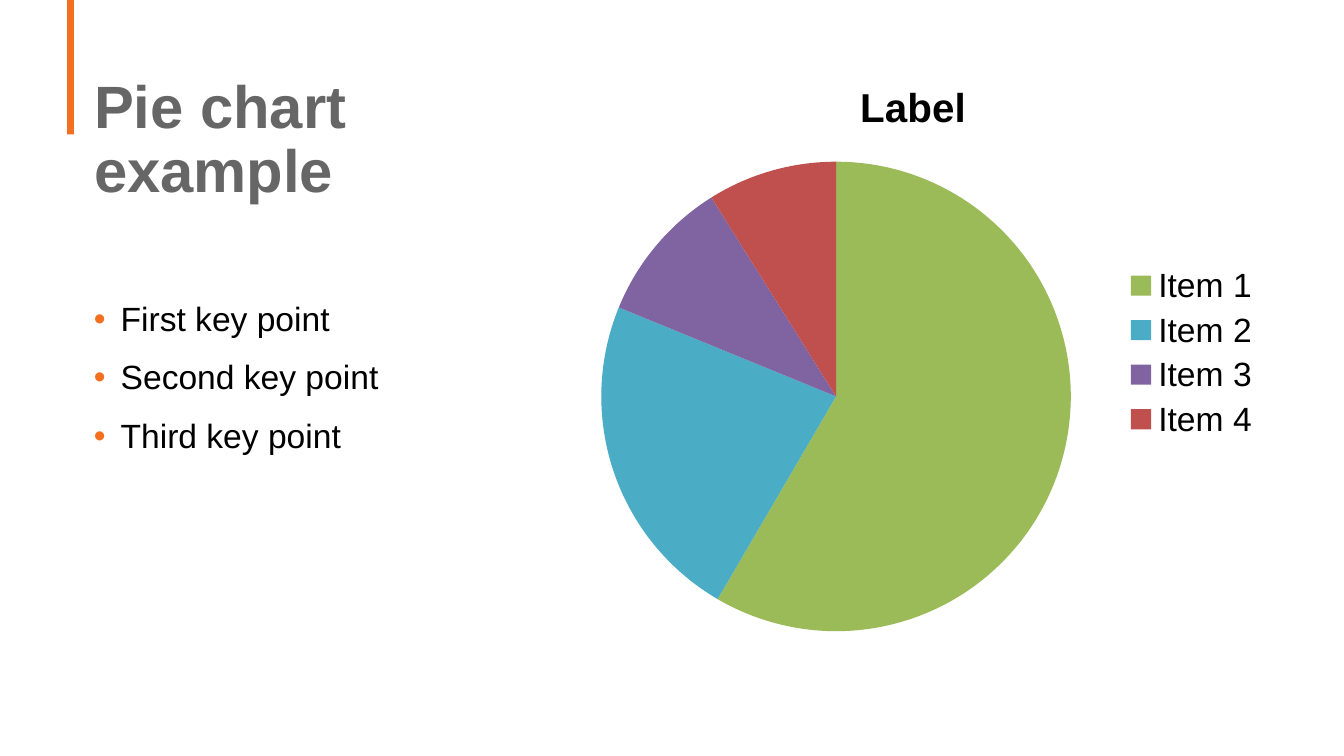
from dataclasses import dataclass

from pptx import Presentation
from pptx.chart.data import CategoryChartData
from pptx.dml.color import RGBColor
from pptx.enum.chart import XL_CHART_TYPE, XL_LEGEND_POSITION
from pptx.enum.shapes import MSO_SHAPE
from pptx.enum.text import MSO_ANCHOR, PP_ALIGN
from pptx.oxml import parse_xml
from pptx.oxml.ns import nsdecls
from pptx.util import Pt

PIE = XL_CHART_TYPE.PIE
LEGEND_RIGHT = XL_LEGEND_POSITION.RIGHT
RECTANGLE = MSO_SHAPE.RECTANGLE
TOP = MSO_ANCHOR.TOP
LEFT = PP_ALIGN.LEFT

EMU_PER_PX = 4572  # 200 px to the inch
TITLE_ONLY = 5
FONT = "Arial"
ORANGE, GREY, BLACK = "F37021", "666666", "000000"
KEY_POINTS = ["First key point", "Second key point", "Third key point"]


@dataclass
class Box:
    left: int
    top: int
    width: int
    height: int

    def emu(self) -> list[int]:
        return [px(n) for n in (self.left, self.top, self.width, self.height)]


@dataclass
class Slice:
    label: str
    value: int
    color: str


SLICES = [
    Slice("Item 1", 59, "9BBB59"),
    Slice("Item 2", 23, "4BACC6"),
    Slice("Item 3", 10, "8064A2"),
    Slice("Item 4", 9, "C0504D"),
]


def px(length: int) -> int:
    return length * EMU_PER_PX


def rgb(color: str) -> RGBColor:
    return RGBColor.from_string(color)


def set_font(font, size: float, color: str, bold: bool = False) -> None:
    font.name, font.size, font.bold = FONT, Pt(size), bold
    font.color.rgb = rgb(color)


def set_frame(frame, top_inset: int) -> None:
    frame.word_wrap = True
    frame.vertical_anchor = TOP
    frame.margin_left = frame.margin_right = px(20)
    frame.margin_top, frame.margin_bottom = px(top_inset), px(10)


def add_bullet(paragraph) -> None:
    properties = paragraph._p.get_or_add_pPr()
    properties.set("marL", str(px(40)))
    properties.set("indent", str(px(-40)))
    namespace = nsdecls("a")
    for xml in (
        f'<a:buClr {namespace}><a:srgbClr val="{ORANGE}"/></a:buClr>',
        f'<a:buFont {namespace} typeface="{FONT}"/>',
        f'<a:buChar {namespace} char="•"/>',
    ):
        properties.append(parse_xml(xml))


def add_accent(slide, box: Box) -> None:
    accent = slide.shapes.add_shape(RECTANGLE, *box.emu())
    accent.shadow.inherit = False
    accent.fill.solid()
    accent.fill.fore_color.rgb = rgb(ORANGE)
    accent.line.fill.background()


def set_title(slide, text: str, box: Box) -> None:
    title = slide.shapes.title
    title.left, title.top, title.width, title.height = box.emu()
    set_frame(title.text_frame, 14)
    title.text_frame.text = text
    paragraph = title.text_frame.paragraphs[0]
    paragraph.alignment = LEFT
    paragraph.line_spacing = 0.9
    set_font(paragraph.font, 32, GREY, bold=True)


def add_key_points(slide, points: list[str], box: Box) -> None:
    frame = slide.shapes.add_textbox(*box.emu()).text_frame
    set_frame(frame, 10)
    frame.text = "\n".join(points)
    for paragraph in frame.paragraphs:
        paragraph.line_spacing = 0.9
        paragraph.space_before = Pt(12)
        add_bullet(paragraph)
        set_font(paragraph.font, 18, BLACK)


def add_pie(slide, name: str, slices: list[Slice], box: Box) -> None:
    data = CategoryChartData()
    data.categories = [item.label for item in slices]
    data.add_series(name, [item.value for item in slices])
    chart = slide.shapes.add_chart(PIE, *box.emu(), data).chart
    set_font(chart.font, 18, BLACK)

    # Title and legend
    chart.has_title = True
    chart.chart_title.text_frame.text = name
    set_font(chart.chart_title.text_frame.paragraphs[0].font, 21.6, BLACK, bold=True)
    chart.chart_title.include_in_layout = False
    chart.has_legend = True
    chart.legend.position = LEGEND_RIGHT
    chart.legend.include_in_layout = False

    # Slice colours
    plot = chart.plots[0]
    plot.vary_by_categories = True
    for index, item in enumerate(slices):
        fill = plot.series[0].points[index].format.fill
        fill.solid()
        fill.fore_color.rgb = rgb(item.color)


def main() -> None:
    presentation = Presentation()
    presentation.slide_width, presentation.slide_height = px(2000), px(1125)
    slide = presentation.slides.add_slide(presentation.slide_layouts[TITLE_ONLY])

    add_accent(slide, Box(100, 0, 10, 200))
    set_title(slide, "Pie chart example", Box(120, 100, 660, 320))
    add_pie(slide, "Label", SLICES, Box(822, 82, 1074, 885))
    add_key_points(slide, KEY_POINTS, Box(120, 440, 660, 580))
    presentation.save("out.pptx")


if __name__ == "__main__":
    main()
